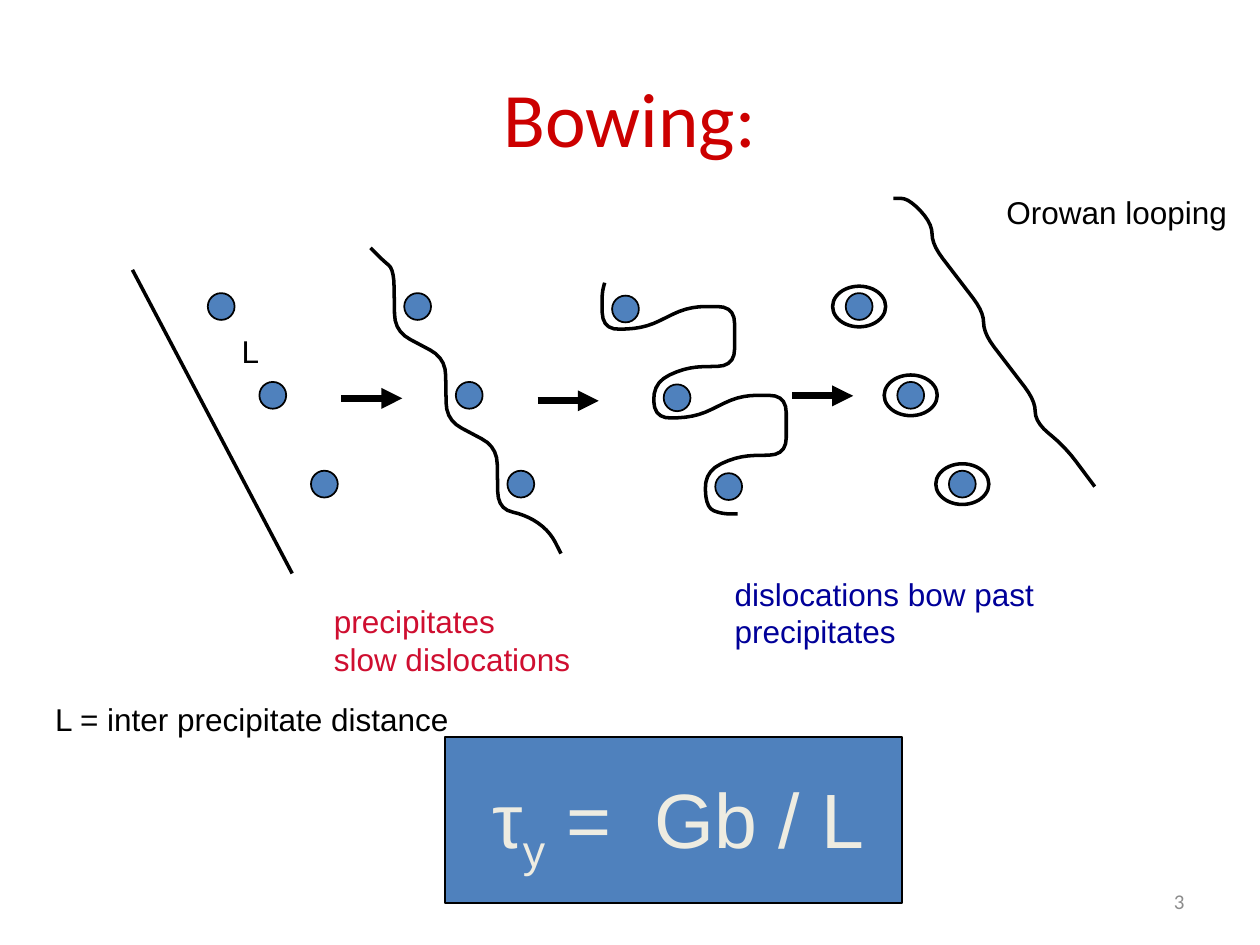
from dataclasses import dataclass
from math import dist

from lxml import etree
from pptx import Presentation, util as u
from pptx.dml.color import RGBColor
from pptx.enum import shapes, text
from pptx.oxml.ns import qn


@dataclass(frozen=True)
class Theme:
    ink: str = "000000"
    blue: str = "4F81BD"
    red: str = "CC0000"
    rose: str = "CF0E30"
    navy: str = "000099"
    cream: str = "EEECE1"
    grey: str = "8C8C8C"
    head: str = "Calibri"
    body: str = "Arial"
    large: int = 44
    mid: int = 18
    small: int = 12
    thin: int = 1
    bold: int = 2
    heavy: int = 4


# Precipitates: three per column, each one STEP from the one before (cm)
COUNT = 3
STEP = (1.04, 1.79)
DOT = (0.54, 0.54)
LOOP = (1.07, 0.82)
FIRST, PINNED, BOWED, FREED = (
    (4.46, 6.18), (8.42, 6.18), (12.61, 6.23), (17.32, 6.18))
ARROWS = [(6.88, 8.03), (10.84, 8.08), (15.97, 7.98)]
REACH = 1.23


def shift(origin, points):
    return [(origin[0] + x, origin[1] + y) for x, y in points]


def column(top):
    """Centres of the precipitates below and including the top one."""
    return shift(top, [(n * STEP[0], n * STEP[1]) for n in range(COUNT)])


def centred(middle, size):
    return (middle[0] - size[0] / 2, middle[1] - size[1] / 2, *size)


def thread(dots, head, hug, tail, link=()):
    """Corners of a dislocation, given as offsets from precipitate centres.

    hug repeats at every precipitate, link between one and the next.
    """
    corners = shift(dots[0], head)
    for dot in dots[:-1]:
        corners += shift(dot, [*hug, *link])
    return corners + shift(dots[-1], [*hug, *tail])


def soften(corners, radius=0.35, parts=5):
    """Replace each inner corner by a short quadratic curve."""
    points = [corners[0]]
    for prev, here, after in zip(corners, corners[1:], corners[2:]):
        ends = []
        for other in (prev, after):
            length = dist(here, other)
            share = min(radius, length / 2) / length
            ends.append([h + (o - h) * share for h, o in zip(here, other)])
        for n in range(parts + 1):
            t = n / parts
            points.append(tuple(
                (1 - t) ** 2 * a + 2 * t * (1 - t) * h + t ** 2 * b
                for a, h, b in zip(ends[0], here, ends[1])))
    return points + [corners[-1]]


class Deck:
    """Holds the theme and the current slide."""

    def __init__(self, theme, slide):
        self.theme, self.slide = theme, slide

    def font(self, para, size, color, face):
        for run in para.runs:
            run.font.size, run.font.name = u.Pt(size), face
            run.font.color.rgb = RGBColor.from_string(color)

    def title(self, words, box):
        item = self.slide.shapes.title
        item.left, item.top, item.width, item.height = map(u.Cm, box)
        item.text_frame.text = words
        item.text_frame.vertical_anchor = text.MSO_ANCHOR.MIDDLE
        para = item.text_frame.paragraphs[0]
        para.alignment = text.PP_ALIGN.CENTER
        self.font(para, self.theme.large, self.theme.red, self.theme.head)

    def label(self, words, box, color=None, size=None, face=None):
        item = self.slide.shapes.add_textbox(*map(u.Cm, box))
        frame = item.text_frame
        frame.word_wrap = True
        frame.text = words
        for para in frame.paragraphs:
            self.font(para, size or self.theme.mid, color or self.theme.ink,
                      face or self.theme.body)
        return frame

    def formula(self, parts, box):
        """Each part is its text and a dict of run attributes."""
        para = self.label("", box).paragraphs[0]
        for words, attrs in parts:
            run = para.add_run()
            run.text = words
            for key, value in attrs.items():
                run._r.get_or_add_rPr().set(key, value)
        self.font(para, self.theme.large, self.theme.cream, self.theme.body)

    def pen(self, item, width):
        item.line.color.rgb = RGBColor.from_string(self.theme.ink)
        item.line.width = u.Pt(width)

    def shape(self, kind, box, width, fill=None, host=None):
        home = (host or self.slide).shapes
        item = home.add_shape(kind, *map(u.Cm, box))
        item.shadow.inherit = False
        if fill:
            item.fill.solid()
            item.fill.fore_color.rgb = RGBColor.from_string(fill)
        else:
            item.fill.background()
        self.pen(item, width)

    def line(self, start, end, width, arrow=False):
        item = self.slide.shapes.add_connector(
            shapes.MSO_CONNECTOR.STRAIGHT, *map(u.Cm, start + end))
        self.pen(item, width)
        if arrow:
            tip = etree.SubElement(item.line._get_or_add_ln(), qn("a:tailEnd"))
            tip.set("type", "triangle")
        etree.SubElement(item._element.spPr, qn("a:effectLst"))

    def curve(self, corners):
        points = [(u.Cm(x), u.Cm(y)) for x, y in soften(corners)]
        pen = self.slide.shapes.build_freeform(*points[0])
        pen.add_line_segments(points[1:], close=False)
        item = pen.convert_to_shape()
        item.shadow.inherit = False
        item.fill.background()
        self.pen(item, self.theme.bold)


def main():
    show = Presentation()
    show.slide_width, show.slide_height = u.Cm(25.4), u.Cm(19.05)
    look = Theme()
    deck = Deck(look, show.slides.add_slide(show.slide_layouts[5]))
    oval, rect = shapes.MSO_SHAPE.OVAL, shapes.MSO_SHAPE.RECTANGLE

    deck.title("Bowing:", (1.27, 0.76, 22.86, 3.18))

    # Four columns of precipitates, one per stage
    for top in (FIRST, PINNED, BOWED, FREED):
        group = deck.slide.shapes.add_group_shape()
        for dot in column(top):
            deck.shape(oval, centred(dot, DOT), look.thin, look.blue, group)

    # Stage 1: straight dislocation
    deck.line((2.67, 5.44), (5.89, 11.56), look.bold)

    # Stage 2: it catches on the left of each precipitate
    deck.curve(thread(column(PINNED),
                      head=[(-0.95, -1.18), (-0.69, -0.92)],
                      hug=[(-0.48, -0.75), (-0.46, 0.5)],
                      tail=[(0.13, 0.63), (0.58, 0.95), (0.81, 1.4)]))

    # Stage 3: it wraps each precipitate and bulges out between them
    deck.curve(thread(column(BOWED),
                      head=[(-0.42, -0.53)],
                      hug=[(-0.48, -0.3), (-0.46, 0.42)],
                      link=[(0.38, 0.39), (1.27, -0.05), (2.2, -0.05),
                            (2.2, 1.15), (1.22, 1.17)],
                      tail=[(-0.15, 0.55), (0.18, 0.55)]))

    # Stage 4: it moves on in steps and leaves a loop at each precipitate
    for dot in column(FREED):
        deck.shape(oval, centred(dot, LOOP), look.bold)
    deck.curve(thread(column(FREED),
                      head=[(0.69, -2.18), (1, -2.18)],
                      hug=[(1.47, -1.68), (1.47, -1.25)],
                      tail=[(2.08, -0.74), (2.67, 0.05)]))

    # Captions under the stages
    deck.label("precipitates\nslow dislocations", (6.48, 12.01, 6.86, 2.29),
               look.rose)
    deck.label("dislocations bow past\nprecipitates",
               (14.56, 11.46, 8.56, 2.29), look.navy)

    # Arrows between stages
    for x, y in ARROWS:
        deck.line((x, y), (x + REACH, y), look.heavy, arrow=True)

    # Yield stress formula, with a widened gap after the equals sign
    deck.shape(rect, (8.97, 14.86, 9.22, 3.35), look.thin, look.blue)
    deck.formula([("τ", {}), ("y", {"baseline": "-25000"}), (" =", {}),
                  (" ", {"spc": "1220"}), ("Gb / L", {})],
                 (9.68, 15.42, 8.4, 2.11))

    # Page number and remaining labels
    page = deck.label("3", (18.21, 17.65, 5.92, 1.02), look.grey,
                      look.small, look.head)
    page.vertical_anchor = text.MSO_ANCHOR.MIDDLE
    page.paragraphs[0].alignment = text.PP_ALIGN.RIGHT
    deck.label("L", (4.62, 6.57, 0.9, 1.02))
    deck.label("L = inter precipitate distance", (0.86, 13.99, 8.7, 1.02))
    deck.label("Orowan looping", (20.04, 3.76, 5.15, 1.02))

    show.save("out.pptx")


if __name__ == "__main__":
    main()
